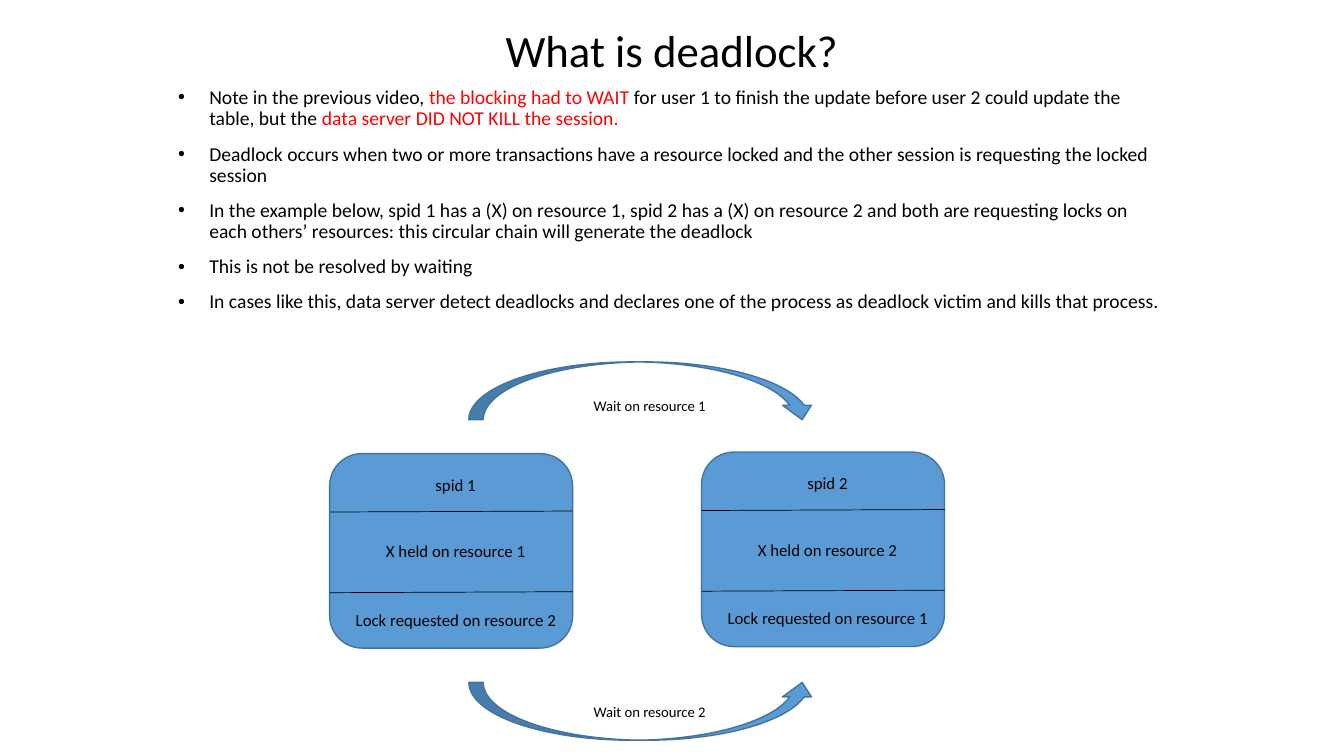
from dataclasses import dataclass

from lxml import etree
from pptx import Presentation
from pptx.dml.color import RGBColor
from pptx.enum.shapes import MSO_CONNECTOR, MSO_SHAPE
from pptx.enum.text import MSO_ANCHOR, MSO_AUTO_SIZE, PP_ALIGN
from pptx.oxml.ns import qn
from pptx.util import Inches, Pt

ROUNDED = MSO_SHAPE.ROUNDED_RECTANGLE
ARROW_OVER = MSO_SHAPE.CURVED_DOWN_ARROW
ARROW_UNDER = MSO_SHAPE.CURVED_UP_ARROW
STRAIGHT = MSO_CONNECTOR.STRAIGHT
CENTER = PP_ALIGN.CENTER
BOTTOM, TOP = MSO_ANCHOR.BOTTOM, MSO_ANCHOR.TOP
NO_AUTOFIT = MSO_AUTO_SIZE.NONE

SLIDE_WIDTH, SLIDE_HEIGHT = Inches(13.33), Inches(7.5)


@dataclass(frozen=True)
class Theme:
    font: str = "Calibri"
    text: RGBColor = RGBColor(0x00, 0x00, 0x00)
    alert: RGBColor = RGBColor(0xFF, 0x00, 0x00)
    fill: RGBColor = RGBColor(0x5B, 0x9B, 0xD5)
    outline: RGBColor = RGBColor(0x43, 0x73, 0x9E)
    title_size: float = 32
    body_size: float = 14
    label_size: float = 12
    wait_size: float = 10.5


THEME = Theme()

# Each bullet is a list of (text, is_alert) pieces.
BULLETS = [
    [("Note in the previous video, ", False),
     ("the blocking had to WAIT ", True),
     ("for user 1 to finish the update before user 2 could update the table, but the ", False),
     ("data server DID NOT KILL the session.", True)],
    [("Deadlock occurs when two or more transactions have a resource locked "
      "and the other session is requesting the locked session", False)],
    [("In the example below, spid 1 has a (X) on resource 1, spid 2 has a (X) on "
      "resource 2 and both are requesting locks on each others’ resources: "
      "this circular chain will generate the deadlock", False)],
    [("This is not be resolved by waiting", False)],
    [("In cases like this, data server detect deadlocks and declares one of the "
      "process as deadlock victim and kills that process.", False)],
]


def across(percent):
    return round(SLIDE_WIDTH * percent / 100)


def down(percent):
    return round(SLIDE_HEIGHT * percent / 100)


def area(left, top, width, height):
    """Turn percentages of the slide into a left, top, width, height tuple."""
    return across(left), down(top), across(width), down(height)


def place(shape, box):
    shape.left, shape.top, shape.width, shape.height = box


def format_run(run, size, color=THEME.text):
    run.font.name = THEME.font
    run.font.size = Pt(size)
    run.font.color.rgb = color


def add_bullet(paragraph):
    properties = paragraph._p.get_or_add_pPr()
    properties.set("marL", str(Inches(0.31)))
    properties.set("indent", str(-Inches(0.31)))
    etree.SubElement(properties, qn("a:buFont")).set("typeface", "Arial")
    etree.SubElement(properties, qn("a:buChar")).set("char", "•")


def fill_title(title):
    place(title, area(12.5, 1.2, 75, 9.73))
    frame = title.text_frame
    frame.text = "What is deadlock?"
    frame.auto_size = NO_AUTOFIT
    frame.vertical_anchor = BOTTOM
    paragraph = frame.paragraphs[0]
    paragraph.alignment = CENTER
    paragraph.line_spacing = 0.9
    format_run(paragraph.runs[0], THEME.title_size)


def fill_body(body):
    place(body, area(12.5, 10.93, 75, 40.27))
    frame = body.text_frame
    frame.auto_size = NO_AUTOFIT
    frame.vertical_anchor = TOP
    for index, pieces in enumerate(BULLETS):
        paragraph = frame.add_paragraph() if index else frame.paragraphs[0]
        paragraph.line_spacing = 0.9
        paragraph.space_before = Pt(10 if index else 0)
        add_bullet(paragraph)
        for text, is_alert in pieces:
            run = paragraph.add_run()
            run.text = text
            format_run(run, THEME.body_size, THEME.alert if is_alert else THEME.text)


def add_blue_shape(slide, kind, box):
    shape = slide.shapes.add_shape(kind, *box)
    shape.shadow.inherit = False
    shape.fill.solid()
    shape.fill.fore_color.rgb = THEME.fill
    shape.line.color.rgb = THEME.outline
    shape.line.width = Pt(1)


def add_label(slide, text, box, size):
    frame = slide.shapes.add_textbox(*box).text_frame
    frame.word_wrap = True
    frame.text = text
    format_run(frame.paragraphs[0].runs[0], size)


def add_divider(slide, left, top, width):
    """Draw a rule that rises slightly to the right."""
    line = slide.shapes.add_connector(
        STRAIGHT, across(left), down(top), across(left + width), down(top - 0.13))
    line.line.color.rgb = THEME.text
    line.line.width = Pt(0.5)
    etree.SubElement(line._element.spPr, qn("a:effectLst"))


def add_process(slide, left, top, own, other):
    """Draw one process box: its name, the lock it holds and the one it wants."""
    width = 18.08
    add_blue_shape(slide, ROUNDED, area(left, top, width, 25.73))
    for offset in (7.73, 18.4):
        add_divider(slide, left, top + offset, width)
    labels = [
        (f"spid {own}", 7.13, 2.1, 6.68),
        (f"X held on resource {own}", 3.45, 10.93, 12.68),
        (f"Lock requested on resource {other}", 1.2, 20, 16.88),
    ]
    for text, indent, offset, label_width in labels:
        box = area(left + indent, top + offset, label_width, 4)
        add_label(slide, text, box, THEME.label_size)


def add_wait(slide, kind, arrow_top, label_top, resource):
    add_blue_shape(slide, kind, area(34.88, arrow_top, 25.88, 7.65))
    add_label(slide, f"Wait on resource {resource}",
              area(43.43, label_top, 10.2, 3.73), THEME.wait_size)


def main():
    presentation = Presentation()
    presentation.slide_width = SLIDE_WIDTH
    presentation.slide_height = SLIDE_HEIGHT
    slide = presentation.slides.add_slide(presentation.slide_layouts[1])
    fill_title(slide.shapes.title)
    fill_body(slide.placeholders[1])
    add_process(slide, 24.53, 60, own=1, other=2)
    add_process(slide, 52.2, 59.8, own=2, other=1)
    add_wait(slide, ARROW_OVER, 47.87, 51.87, resource=1)
    add_wait(slide, ARROW_UNDER, 90.27, 92.27, resource=2)
    presentation.save("out.pptx")


if __name__ == "__main__":
    main()
